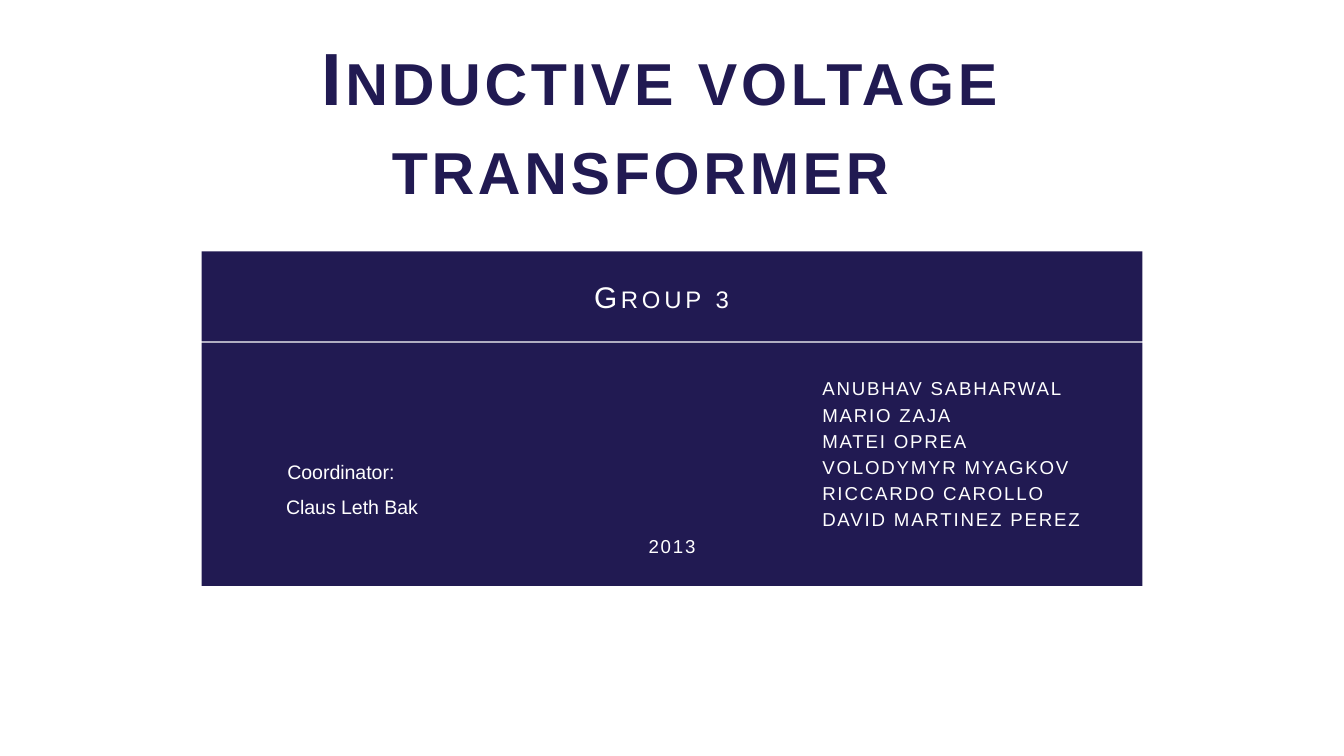
from dataclasses import dataclass
from pptx import Presentation
from pptx.dml.color import RGBColor
from pptx.enum.shapes import MSO_SHAPE
from pptx.enum.text import MSO_ANCHOR, PP_ALIGN
from pptx.util import Inches, Pt

RECT = MSO_SHAPE.RECTANGLE
MIDDLE = MSO_ANCHOR.MIDDLE
LEFT, CENTER = PP_ALIGN.LEFT, PP_ALIGN.CENTER
WIDE = 10
HIGH = WIDE * 9 / 16
COLORS = {"navy": "211A52", "white": "FFFFFF"}
NAMES = ["ANUBHAV SABHARWAL", "MARIO ZAJA", "MATEI OPREA",
         "VOLODYMYR MYAGKOV", "RICCARDO CAROLLO", "DAVID MARTINEZ PEREZ"]


@dataclass
class Line:
    text: str
    size: float
    color: str = "white"
    align: int = CENTER
    bold: bool = False
    track: int = 0
    caps: bool = False
    margin: float = 0
    before: float = 0
    after: float = 0
    lead: float = 1


@dataclass
class Box:
    left: float
    top: float
    width: float
    height: float
    lines: list[Line]
    inset: tuple = (0.1, 0.05, 0.1, 0.05)


def paint(name: str) -> RGBColor:
    return RGBColor.from_string(COLORS[name])


def place(shape, box: Box) -> None:
    shape.left, shape.top = Inches(box.left), Inches(box.top)
    shape.width, shape.height = Inches(box.width), Inches(box.height)


def write(shape, box: Box) -> None:
    frame = shape.text_frame
    frame.word_wrap = True
    frame.vertical_anchor = MIDDLE
    (frame.margin_left, frame.margin_top,
     frame.margin_right, frame.margin_bottom) = map(Inches, box.inset)
    for i, line in enumerate(box.lines):
        para = frame.add_paragraph() if i else frame.paragraphs[0]
        para.text = line.text
        para.alignment = line.align
        para.line_spacing = line.lead
        para.space_before = Pt(line.before)
        para.space_after = Pt(line.after)
        font = para.font
        font.name, font.size, font.bold = "Arial", Pt(line.size), line.bold
        font.color.rgb = paint(line.color)
        props = para._p.get_or_add_pPr()
        props.set("marL", str(Inches(line.margin)))
        props.set("indent", "0")
        style = props.get_or_add_defRPr()
        style.set("spc", str(line.track * 100))
        style.set("cap", "small" if line.caps else "none")


def panel(slide, box: Box) -> None:
    shape = slide.shapes.add_shape(RECT, 0, 0, 0, 0)
    place(shape, box)
    shape.shadow.inherit = False
    shape.fill.solid()
    shape.fill.fore_color.rgb = paint("navy")
    shape.line.fill.background()
    write(shape, box)


def label(slide, box: Box) -> None:
    shape = slide.shapes.add_textbox(0, 0, 0, 0)
    place(shape, box)
    write(shape, box)


def main() -> None:
    deck = Presentation()
    deck.slide_width, deck.slide_height = Inches(WIDE), Inches(HIGH)
    slide = deck.slides.add_slide(deck.slide_layouts[5])

    left, width = 0.15 * WIDE, 0.7 * WIDE
    head = Box(0.67, 0.29, 0.85 * WIDE, 1.21,
               [Line("Inductive voltage transformer", 39.6, "navy",
                     bold=True, track=2, caps=True)])
    group = Box(left, 1.87, width, 0.67,
                [Line("Group 3", 16, track=2, caps=True, before=3)],
                (0.12, 0.2, 0.08, 0.2))
    team = [Line(name, 10, align=LEFT, track=1, margin=4.52, before=2)
            for name in NAMES]
    year = Line("2013", 10, track=1, before=2)
    people = Box(left, 2.55, width, 1.81, team + [year], (0.1, 0.24, 0.1, 0.2))
    guide = Box(1.54, 3.28, 0.34 * WIDE, 0.63, [
        Line("Coordinator:", 10.5, align=LEFT, margin=0.5, after=6, lead=1.5),
        Line("Claus Leth Bak", 10.5, align=LEFT, margin=0.49)])

    title = slide.shapes.title
    place(title, head)
    write(title, head)
    panel(slide, group)
    panel(slide, people)
    label(slide, guide)
    deck.save("out.pptx")


if __name__ == "__main__":
    main()
